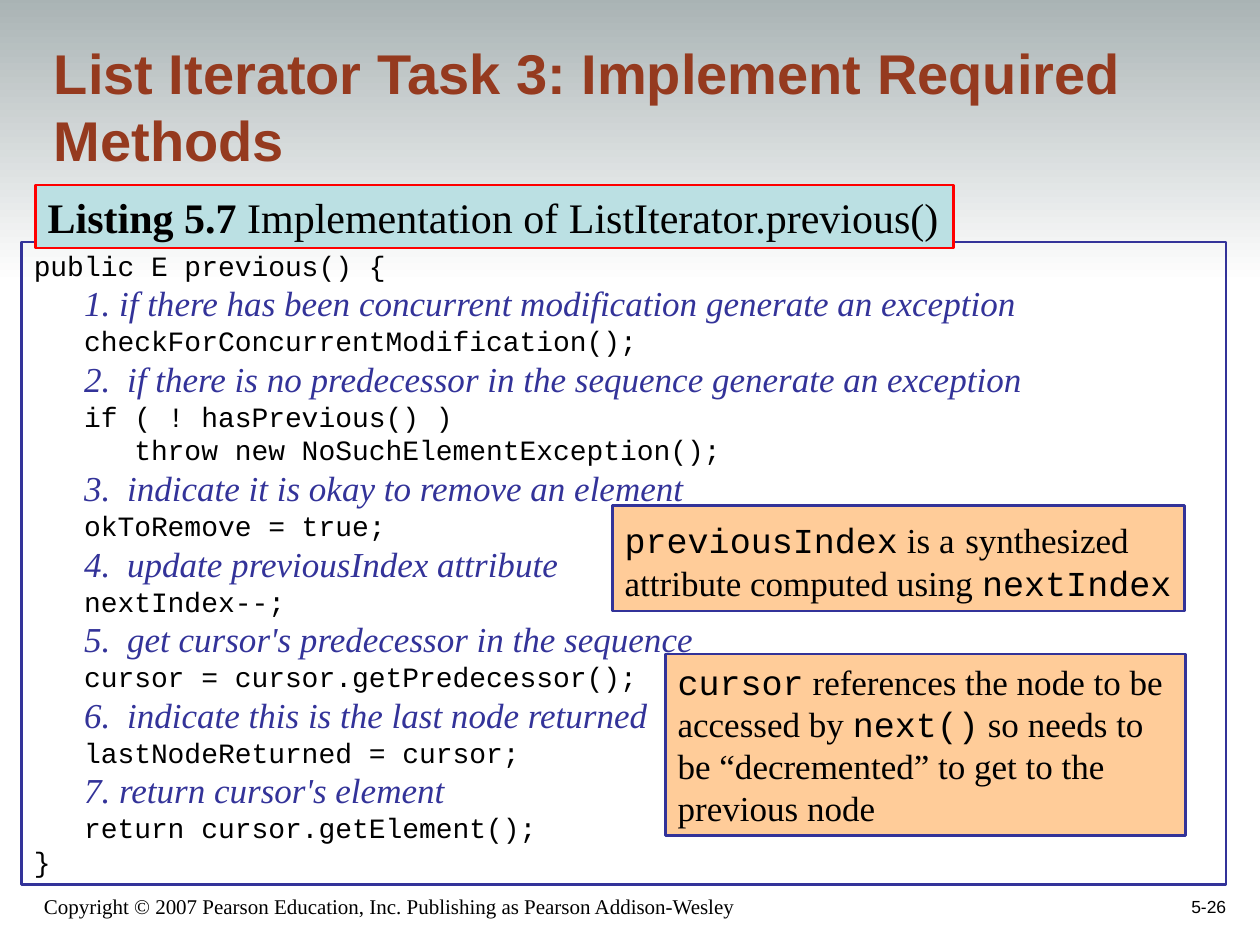
from dataclasses import dataclass

from pptx import Presentation, util as u
from pptx.dml.color import RGBColor
from pptx.enum import shapes, text

COLOURS = {
    "black": "000000", "white": "FFFFFF", "mist": "A7B1B2", "rust": "953A1F",
    "indigo": "333399", "red": "FF0000", "aqua": "BBE0E3", "peach": "FFCC99",
}
SERIF, SANS, MONO = "Times New Roman", "Arial", "Courier New"


@dataclass(frozen=True)
class Span:
    words: str
    size: float = 20
    name: str = SERIF
    colour: str = "black"
    bold: bool = False
    italic: bool = False


Para = list[Span]


@dataclass(frozen=True)
class Panel:
    left: float
    top: float
    width: float
    height: float
    paras: list[Para]
    fill: str | None = None
    line: str | None = None
    wrap: bool = True
    anchor: text.MSO_ANCHOR = text.MSO_ANCHOR.TOP
    align: text.PP_ALIGN = text.PP_ALIGN.LEFT


def rgb(colour: str) -> RGBColor:
    return RGBColor.from_string(COLOURS[colour])


def code(words: str) -> Para:
    return [Span(words, 16, MONO)]


def step(number: str, words: str) -> Para:
    return [
        Span("   ", 16, MONO, italic=True),
        Span(number, colour="indigo", italic=True),
        Span(" ", 16, MONO, italic=True),
        Span(words, colour="indigo", italic=True),
    ]


def close_step(words: str) -> Para:
    return [Span("   ", 16, MONO, italic=True), Span(words, colour="indigo", italic=True)]


def draw_backdrop(page) -> None:
    band = page.shapes.add_shape(
        shapes.MSO_SHAPE.RECTANGLE, 0, u.Inches(-0.08), u.Inches(10), u.Inches(2.33))
    band.shadow.inherit = False
    band.line.fill.background()
    band.fill.gradient()
    band.fill.gradient_angle = 270
    for stop, position, colour in zip(band.fill.gradient_stops, (0, 1), ("mist", "white")):
        stop.position = position
        stop.color.rgb = rgb(colour)


def write_paras(frame, panel: Panel) -> None:
    for index, spans in enumerate(panel.paras):
        para = frame.add_paragraph() if index else frame.paragraphs[0]
        para.alignment = panel.align
        for span in spans:
            run = para.add_run()
            run.text = span.words
            formats = {"size": u.Pt(span.size), "name": span.name,
                       "bold": span.bold, "italic": span.italic}
            for key, value in formats.items():
                setattr(run.font, key, value)
            run.font.color.rgb = rgb(span.colour)


def draw_panel(page, panel: Panel) -> None:
    place = [u.Inches(n) for n in (panel.left, panel.top, panel.width, panel.height)]
    if panel.line:
        box = page.shapes.add_shape(shapes.MSO_SHAPE.RECTANGLE, *place)
        box.shadow.inherit = False
        box.line.color.rgb = rgb(panel.line)
        box.line.width = u.Pt(1.5)
    else:
        box = page.shapes.add_textbox(*place)
    if panel.fill:
        box.fill.solid()
        box.fill.fore_color.rgb = rgb(panel.fill)
    else:
        box.fill.background()
    formats = {
        "word_wrap": panel.wrap, "vertical_anchor": panel.anchor,
        "auto_size": text.MSO_AUTO_SIZE.NONE,
        "margin_left": u.Inches(0.1), "margin_right": u.Inches(0.1),
        "margin_top": u.Inches(0.05), "margin_bottom": u.Inches(0.05),
    }
    for key, value in formats.items():
        setattr(box.text_frame, key, value)
    write_paras(box.text_frame, panel)


LISTING = [
    code("public E previous() {"),
    close_step("1. if there has been concurrent modification generate an exception"),
    code("   checkForConcurrentModification();"),
    step("2.", "if there is no predecessor in the sequence generate an exception"),
    code("   if ( ! hasPrevious() )"),
    code("      throw new NoSuchElementException();"),
    step("3.", "indicate it is okay to remove an element"),
    code("   okToRemove = true;"),
    step("4.", "update previousIndex attribute"),
    code("   nextIndex--;"),
    step("5.", "get cursor's predecessor in the sequence"),
    code("   cursor = cursor.getPredecessor();"),
    step("6.", "indicate this is the last node returned"),
    code("   lastNodeReturned = cursor;"),
    close_step("7. return cursor's element"),
    code("   return cursor.getElement();"),
    code("}"),
]
COPYRIGHT = "Copyright © 2007 Pearson Education, Inc. Publishing as Pearson Addison-Wesley"
BOTTOM = text.MSO_ANCHOR.BOTTOM

PANELS = [
    Panel(0.25, 6.92, 6.08, 0.42, [[Span(COPYRIGHT, 12)]], anchor=BOTTOM),
    Panel(7.75, 6.83, 2.08, 0.5, [[Span("5-26", 10, SANS)]],
          anchor=BOTTOM, align=text.PP_ALIGN.RIGHT),
    Panel(0.33, 0.33, 9.35, 1.09,
          [[Span("List Iterator Task 3: Implement Required Methods", 32, SANS, "rust", True)]],
          anchor=BOTTOM),
    Panel(0.17, 1.92, 9.56, 5.1, LISTING, line="indigo"),
    Panel(0.28, 1.47, 7.29, 0.5,
          [[Span("Listing 5.7 ", 24, bold=True),
            Span("Implementation of ListIterator.previous()", 24)]],
          fill="aqua", line="red", wrap=False),
    Panel(4.86, 4.01, 4.54, 0.84,
          [[Span("previousIndex", name=MONO), Span(" is a"), Span(" ", 24), Span("synthesized")],
           [Span("attribute computed using "), Span("nextIndex", name=MONO)]],
          fill="peach", line="indigo", wrap=False),
    Panel(5.28, 5.19, 4.13, 1.44,
          [[Span("cursor", name=MONO), Span(" references the node to be accessed by "),
            Span("next()", name=MONO),
            Span(" so needs to be “decremented” to get to the previous node")]],
          fill="peach", line="indigo"),
]


def main() -> None:
    deck = Presentation()
    deck.slide_width, deck.slide_height = u.Inches(10), u.Inches(7.5)
    page = deck.slides.add_slide(deck.slide_layouts[6])
    page.background.fill.solid()
    page.background.fill.fore_color.rgb = rgb("white")
    draw_backdrop(page)
    for panel in PANELS:
        draw_panel(page, panel)
    deck.save("out.pptx")


if __name__ == "__main__":
    main()
